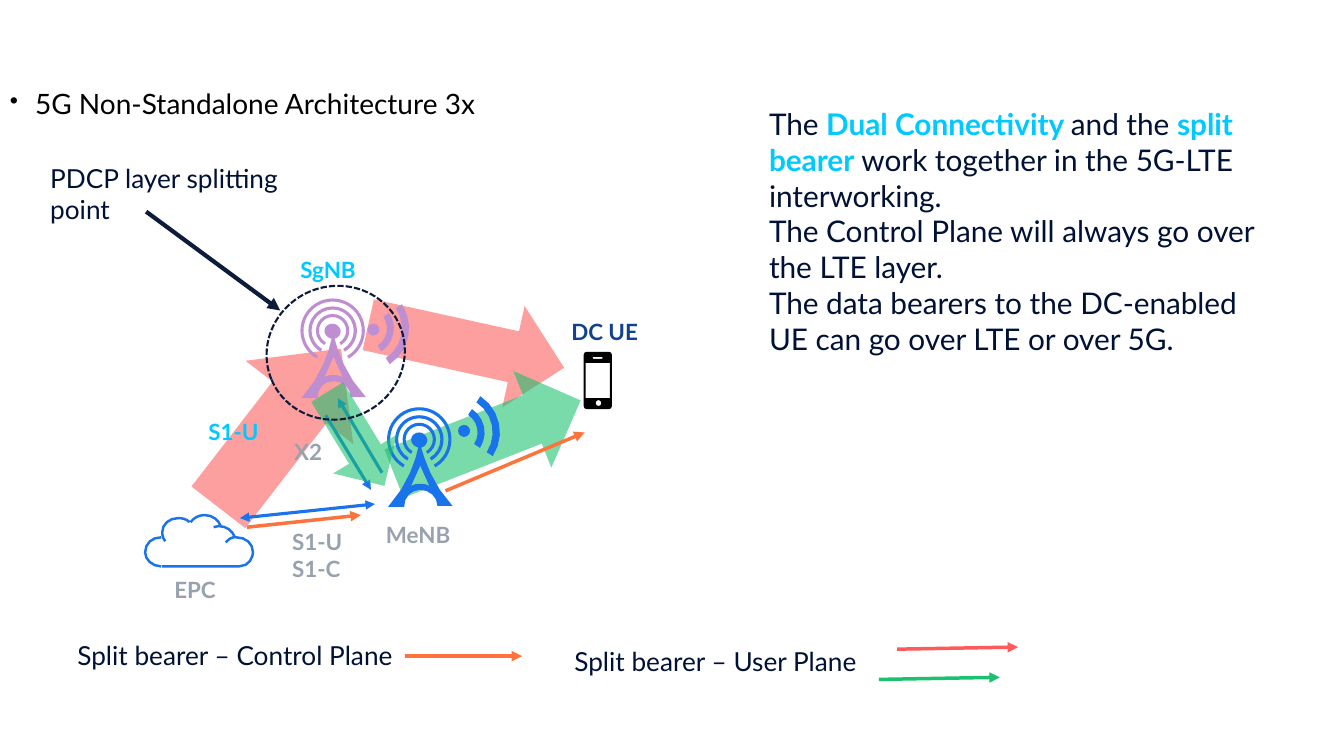
from dataclasses import dataclass
from math import cos, radians, sin

from lxml.etree import SubElement as sub
from pptx import Presentation
from pptx.dml.color import RGBColor as Rgb
from pptx.enum.dml import MSO_LINE as Dash
from pptx.enum.shapes import MSO_CONNECTOR as Link, MSO_SHAPE as Kind
from pptx.oxml.ns import qn
from pptx.util import Pt

Point = tuple[float, float]
Box = tuple[float, float, float, float]
NAVY, INK, BLUE, CYAN, GREY = "001135", "0D1C3B", "1973EB", "00C9FF", "98A2AE"
RED, GREEN, ORANGE, MAUVE = "FE5A5A", "1AC16E", "FE733C", "BF8ED1"


@dataclass
class Label:
    box: Box
    lines: list[str]
    size: float = 16
    color: str = GREY
    bold: bool = True


@dataclass
class Arrow:
    start: Point
    end: Point
    color: str
    width: float = 2.5
    both: bool = False


@dataclass
class Block:
    box: Box
    turn: float
    color: str


@dataclass
class Mast:
    hub: Point
    wave: Point
    tilt: float
    color: str


deck = Presentation()
deck.slide_width, deck.slide_height = Pt(960), Pt(540)
slide = deck.slides.add_slide(deck.slide_layouts[6])
shapes = slide.shapes


def paint(part, color: str) -> None:
    """Give a fill, or the fill of a line, one solid colour."""
    part.solid()
    part.fore_color.rgb = Rgb.from_string(color)


# Text
def style(font, size: float, color: str, bold: bool = False) -> None:
    font.name, font.size, font.bold = "Lato", Pt(size), bold
    font.color.rgb = Rgb.from_string(color)


def write(label: Label) -> list:
    frame = shapes.add_textbox(*map(Pt, label.box)).text_frame
    frame.word_wrap = True
    frame.text = "\n".join(label.lines)
    for para in frame.paragraphs:
        style(para.font, label.size, label.color, label.bold)
    return list(frame.paragraphs)


# Lines and preset shapes
def draw_arrow(arrow: Arrow) -> None:
    line = shapes.add_connector(Link.STRAIGHT, *map(Pt, arrow.start + arrow.end))
    paint(line.line.fill, arrow.color)
    line.line.width = Pt(arrow.width)
    edge = line.line._get_or_add_ln()
    for end in ["headEnd"] * arrow.both + ["tailEnd"]:
        sub(edge, qn(f"a:{end}"), type="triangle")
    sub(line._element.spPr, qn("a:effectLst"))


def place(kind: Kind, box: Box, color: str):
    shape = shapes.add_shape(kind, *map(Pt, box))
    shape.shadow.inherit = False
    paint(shape.fill, color)
    shape.line.fill.background()
    return shape


def draw_block(block: Block) -> None:
    shape = place(Kind.DOWN_ARROW, block.box, block.color)
    shape.rotation = block.turn
    tint = shape._element.spPr.find(qn("a:solidFill"))[0]
    sub(tint, qn("a:alpha"), val="58000")


def disc(mid: Point, radius: float) -> Box:
    return mid[0] - radius, mid[1] - radius, 2 * radius, 2 * radius


# Outlines
def arc(mid: Point, radius: float, first: float, last: float, steps: int = 6) -> list[Point]:
    turns = [radians(first + (last - first) * i / steps) for i in range(steps + 1)]
    return [(mid[0] + radius * cos(t), mid[1] + radius * sin(t)) for t in turns]


def round_box(x: float, y: float, w: float, h: float, r: float) -> list[Point]:
    mids = [(x + w - r, y + h - r), (x + r, y + h - r), (x + r, y + r), (x + w - r, y + r)]
    return [p for i, mid in enumerate(mids) for p in arc(mid, r, 90 * i, 90 * i + 90, 2)]


def bend(start: Point, *curves: tuple[float, ...]) -> list[Point]:
    """Follow cubic curves (six numbers) and straight lines (two numbers)."""
    points = [start]
    for curve in curves:
        if len(curve) == 2:
            points.append(curve)
            continue
        knots = [points[-1], curve[:2], curve[2:4], curve[4:]]
        for t in (0.25, 0.5, 0.75, 1):
            mix = [(1 - t) ** 3, 3 * t * (1 - t) ** 2, 3 * t * t * (1 - t), t ** 3]
            points.append(tuple(sum(m * k[a] for m, k in zip(mix, knots)) for a in (0, 1)))
    return points


def trace(paths: list[list[Point]], color: str, width: float = 0) -> None:
    """Draw a filled outline, or an open line when a width is given."""
    paths = [[(Pt(x), Pt(y)) for x, y in path] for path in paths]
    pen = shapes.build_freeform(*paths[0][0], scale=1.0)
    for i, path in enumerate(paths):
        if i:
            pen.move_to(*path[0])
        pen.add_line_segments(path[1:], close=not width)
    shape = pen.convert_to_shape()
    shape.shadow.inherit = False
    if width:
        shape.fill.background()
        paint(shape.line.fill, color)
        shape.line.width = Pt(width)
    else:
        paint(shape.fill, color)
        shape.line.fill.background()


# Radio masts, with points measured from the hub
TOWER = bend((0.7, 36), (7.2, 36, 13, 41, 13, 47.5), (23.8, 47.5),
             (9.4, 32.4, 3.6, 13.7, 1.4, 5.8), (4.3, 5, 5.8, 2.9, 5.8, 0),
             (5, -2.9, 2.9, -5, 0, -5), (-2.9, -5, -5.8, -2.9, -5.8, 0),
             (-5.8, 2.9, -3.6, 5, -0.7, 5.8), (-2.2, 13.7, -7.9, 32.4, -22.3, 48.2),
             (-10.8, 48.2), (-10.8, 41, -5.8, 36, 0.7, 36))
GAP = [(0.7, 18.7), (7.2, 33.1), (4, 31.9), (0.7, 31.7), (-2.6, 31.9), (-5.8, 33.1)]


def draw_mast(mast: Mast) -> None:
    x, y = mast.hub
    trace([[(x + a, y + b) for a, b in path] for path in (TOWER, GAP)], mast.color)
    for radius in (23, 17.3, 11.9):
        ring = place(Kind.BLOCK_ARC, disc(mast.hub, radius), mast.color)
        for i, value in enumerate([120 * 0.6, 60 * 0.6, 1.1 / radius]):
            ring.adjustments[i] = value
    low, high = mast.tilt - 45, mast.tilt + 45
    for inner, outer in [(15, 20), (25.7, 30.9)]:
        trace([arc(mast.wave, outer, low, high) + arc(mast.wave, inner, high, low)], mast.color)
    place(Kind.OVAL, disc(arc(mast.wave, 5.4, mast.tilt, mast.tilt)[0], 4.3), mast.color)


# Heading
head = write(Label((0, 56.2, 864, 31.7), ["5G Non-Standalone Architecture 3x"], 20, "000000", False))[0]
head.line_spacing = 1.1
props = head._p.get_or_add_pPr()
props.set("marL", str(Pt(18)))
props.set("indent", str(Pt(-18)))
size, mark = (props.makeelement(qn(f"a:{tag}"), {}) for tag in ("buSzPct", "buChar"))
size.set("val", "87000")
mark.set("char", "•")
spot = 1 + props.index(props.find(qn("a:lnSpc")))
props[spot:spot] = [size, mark]

# Side text
intro = write(Label((542.2, 72, 370, 213.8), [
    "",
    "The Control Plane will always go over the LTE layer.",
    "The data bearers to the DC-enabled UE can go over LTE or over 5G."], 21.3, NAVY, False))[0]
for words, strong in [("The ", False), ("Dual Connectivity ", True), ("and the ", False),
                      ("split bearer", True), (" work together in the 5G-LTE interworking.", False)]:
    run = intro.add_run()
    run.text = words
    style(run.font, 21.3, CYAN if strong else NAVY, strong)

# User plane flows
for block in [Block((151.2, 234, 97.2, 143.3), 217.7, RED),
              Block((295.9, 175.7, 74.2, 143.3), 282.4, RED),
              Block((311, 240.5, 74.2, 143.3), 248.6, GREEN)]:
    draw_block(block)

# Masts and phone
for mast in [Mast((237.6, 236.2), (261.4, 234.4), 11.4, MAUVE),
             Mast((299.5, 313.9), (326.2, 308.9), -11.7, BLUE)]:
    draw_mast(mast)
screen = [(418.3, 259.2), (435.6, 259.2), (435.6, 284.4), (418.3, 284.4)]
trace([round_box(416.9, 251.3, 20.2, 41, 2.2), screen,
       round_box(423.3, 254.9, 7.2, 1.4, 0.7), round_box(425.5, 285.8, 4, 4.3, 2)], "000000")

# Core network cloud
for curve in [
        bend((115.2, 383.8), (108.7, 383.8, 103.7, 388.1, 103.7, 394.6),
             (103.7, 399.6, 108.7, 404.6, 115.2, 404.6)),
        bend((118.1, 386.6), (116.6, 385.2, 115.9, 382.3, 115.9, 380.2),
             (115.9, 374.4, 121, 370.1, 127.4, 370.1), (130.3, 370.1, 133.2, 370.8, 135.4, 373)),
        bend((136.1, 373), (138.2, 370.1, 141.8, 367.9, 146.2, 367.9),
             (151.9, 367.9, 156.2, 371.5, 157.7, 375.8)),
        bend((167.8, 383.8), (166.3, 379.4, 162, 375.8, 156.2, 375.8), (152.6, 376.6)),
        bend((115.9, 404.6), (170.6, 404.6), (178.6, 404.6, 180.7, 397.4, 180.7, 394.6),
             (180.7, 388.1, 175.7, 383.8, 168.5, 383.8), (168.5, 383.8, 164.9, 383, 161.3, 387.4))]:
    trace([curve], BLUE, 1.75)

# Signal paths and legend
for arrow in [Arrow((272.9, 337.7), (241.2, 284.4), BLUE, 2.25),
              Arrow((232.6, 296.6), (265, 349.9), BLUE, 2.25),
              Arrow((171.4, 370.1), (267.8, 360), BLUE, 2.25, True),
              Arrow((104.4, 151.2), (200.2, 221.8), INK, 3),
              Arrow((176.4, 376.6), (257.8, 367.9), ORANGE),
              Arrow((318.2, 350.6), (417.6, 308.9), ORANGE),
              Arrow((289.4, 468.7), (373, 468.7), ORANGE),
              Arrow((640.8, 463.7), (727.2, 462.2), RED),
              Arrow((627.8, 485.3), (714.2, 483.8), GREEN)]:
    draw_arrow(arrow)
draw_block(Block((227.5, 274.3, 53.3, 78.5), 328.6, GREEN))

# Splitting point
ring = place(Kind.OVAL, (190.1, 204.5, 99.4, 95), INK)
ring.rotation = 337.5
ring.fill.background()
paint(ring.line.fill, INK)
ring.line.width = Pt(1.5)
ring.line.dash_style = Dash.SQUARE_DOT

# Labels
for label in [Label((268.6, 368.6, 68.4, 26.6), ["MeNB"]),
              Label((207.4, 179.3, 68.4, 26.6), ["SgNB"], color=CYAN),
              Label((203, 309.6, 42.5, 26.6), ["X2"]),
              Label((141.8, 295.2, 58.3, 26.6), ["S1-U"], color=CYAN),
              Label((201.6, 373.7, 56.2, 46.1), ["S1-U", "S1-C"]),
              Label((117.4, 408.2, 58.3, 26.6), ["EPC"]),
              Label((401, 223.9, 68.4, 26.6), ["DC UE"], color="124191"),
              Label((28.8, 112.3, 182.2, 52.6), ["PDCP layer splitting point"], 18.7, NAVY, False),
              Label((48.2, 452.9, 274.3, 30.2), ["Split bearer – Control Plane"], 18.7, NAVY, False),
              Label((403.2, 457.2, 274.3, 30.2), ["Split bearer – User Plane"], 18.7, NAVY, False)]:
    write(label)

deck.save("out.pptx")
